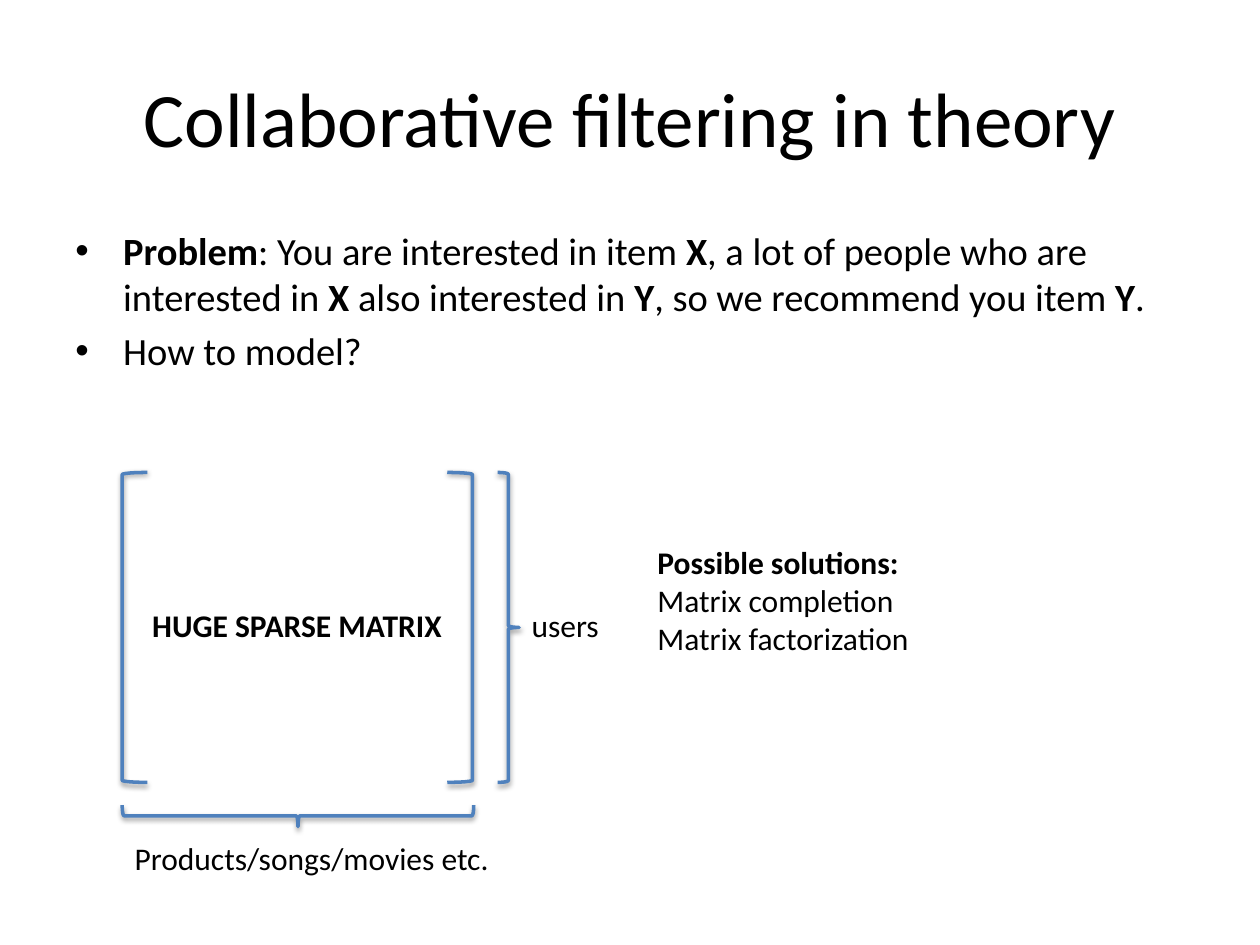
from lxml import etree
from pptx import Presentation
from pptx.dml.color import RGBColor
from pptx.enum.shapes import MSO_SHAPE
from pptx.enum.text import MSO_ANCHOR, PP_ALIGN
from pptx.oxml.ns import qn
from pptx.util import Emu, Pt

BLACK = RGBColor(0x00, 0x00, 0x00)
BLUE = RGBColor(0x4F, 0x81, 0xBD)
LEFT_BRACKET = MSO_SHAPE.LEFT_BRACKET
RIGHT_BRACKET = MSO_SHAPE.RIGHT_BRACKET
RIGHT_BRACE = MSO_SHAPE.RIGHT_BRACE
LEFT, CENTER = PP_ALIGN.LEFT, PP_ALIGN.CENTER
TOP, MIDDLE = MSO_ANCHOR.TOP, MSO_ANCHOR.MIDDLE

EMU_PER_PX = 9144  # 100 px to the inch
BLANK_LAYOUT = 6


def px(length):
    return Emu(length * EMU_PER_PX)


class SlidePainter:
    font_name = "Calibri"
    text_color = BLACK
    line_color = BLUE
    line_width = Pt(2)
    bullet_indent = 38

    def __init__(self, slide):
        self.slide = slide

    def text(self, left, top, width, height, paragraphs, *, size=18, align=LEFT,
             anchor=TOP, wrap=True, bullet=False, gap=0):
        """Add a text box; each paragraph is a list of (text, bold) runs."""
        box = self.slide.shapes.add_textbox(px(left), px(top), px(width), px(height))
        frame = box.text_frame
        frame.word_wrap = wrap
        frame.vertical_anchor = anchor
        for index, runs in enumerate(paragraphs):
            para = frame.paragraphs[0] if index == 0 else frame.add_paragraph()
            if bullet:
                self.add_bullet(para)
            para.alignment = align
            if index and gap:
                para.space_before = Pt(gap)
            for words, bold in runs:
                span = para.add_run()
                span.text = words
                span.font.name = self.font_name
                span.font.size = Pt(size)
                span.font.bold = bold
                span.font.color.rgb = self.text_color

    def add_bullet(self, para):
        properties = para._p.get_or_add_pPr()
        properties.set("marL", str(px(self.bullet_indent)))
        properties.set("indent", str(px(-self.bullet_indent)))
        etree.SubElement(properties, qn("a:buFont"), typeface="Arial")
        etree.SubElement(properties, qn("a:buChar"), char="•")

    def bracket(self, kind, left, top, width, height, rotation=0):
        shape = self.slide.shapes.add_shape(kind, px(left), px(top), px(width), px(height))
        shape.rotation = rotation
        shape.fill.background()
        shape.line.color.rgb = self.line_color
        shape.line.width = self.line_width
        self.add_soft_shadow(shape)

    def add_soft_shadow(self, shape):
        shape.shadow.inherit = False
        effects = shape._element.spPr.find(qn("a:effectLst"))
        shadow = etree.SubElement(effects, qn("a:outerShdw"), blurRad=str(Pt(3.1)),
                                  dist=str(Pt(1.6)), dir="5400000", rotWithShape="0")
        color = etree.SubElement(shadow, qn("a:srgbClr"), val=str(BLACK))
        etree.SubElement(color, qn("a:alpha"), val="38000")


def main():
    deck = Presentation()
    deck.slide_width, deck.slide_height = px(1000), px(750)
    page = SlidePainter(deck.slides.add_slide(deck.slide_layouts[BLANK_LAYOUT]))

    page.text(50, 30, 900, 125, [[("Collaborative filtering in theory", False)]],
              size=44, align=CENTER, anchor=MIDDLE)
    problem = [
        ("Problem", True), (": You are interested in item ", False),
        ("X", True), (", a lot of people who are interested in ", False),
        ("X", True), (" also interested in ", False),
        ("Y", True), (", so we recommend you item ", False),
        ("Y", True), (".", False),
    ]
    page.text(50, 175, 900, 495, [problem, [("How to model?", False)]],
              size=22, bullet=True, gap=4.4)

    matrix_top, matrix_height = 375, 246
    for kind, left, width in ((LEFT_BRACKET, 97, 20), (RIGHT_BRACKET, 355, 20),
                              (RIGHT_BRACE, 395, 17)):
        page.bracket(kind, left, matrix_top, width, matrix_height)
    page.bracket(RIGHT_BRACE, 228, 508, 17, 279, rotation=90)

    page.text(111, 476, 256, 40, [[("HUGE SPARSE MATRIX", True)]], wrap=False)
    page.text(412, 476, 75, 40, [[("users", False)]], wrap=False)
    page.text(97, 661, 315, 40, [[("Products/songs/movies etc.", False)]])
    page.text(512, 426, 223, 101, [[("Possible solutions:", True)],
                                   [("Matrix completion", False)],
                                   [("Matrix factorization", False)]], wrap=False)

    deck.save("out.pptx")


if __name__ == "__main__":
    main()
